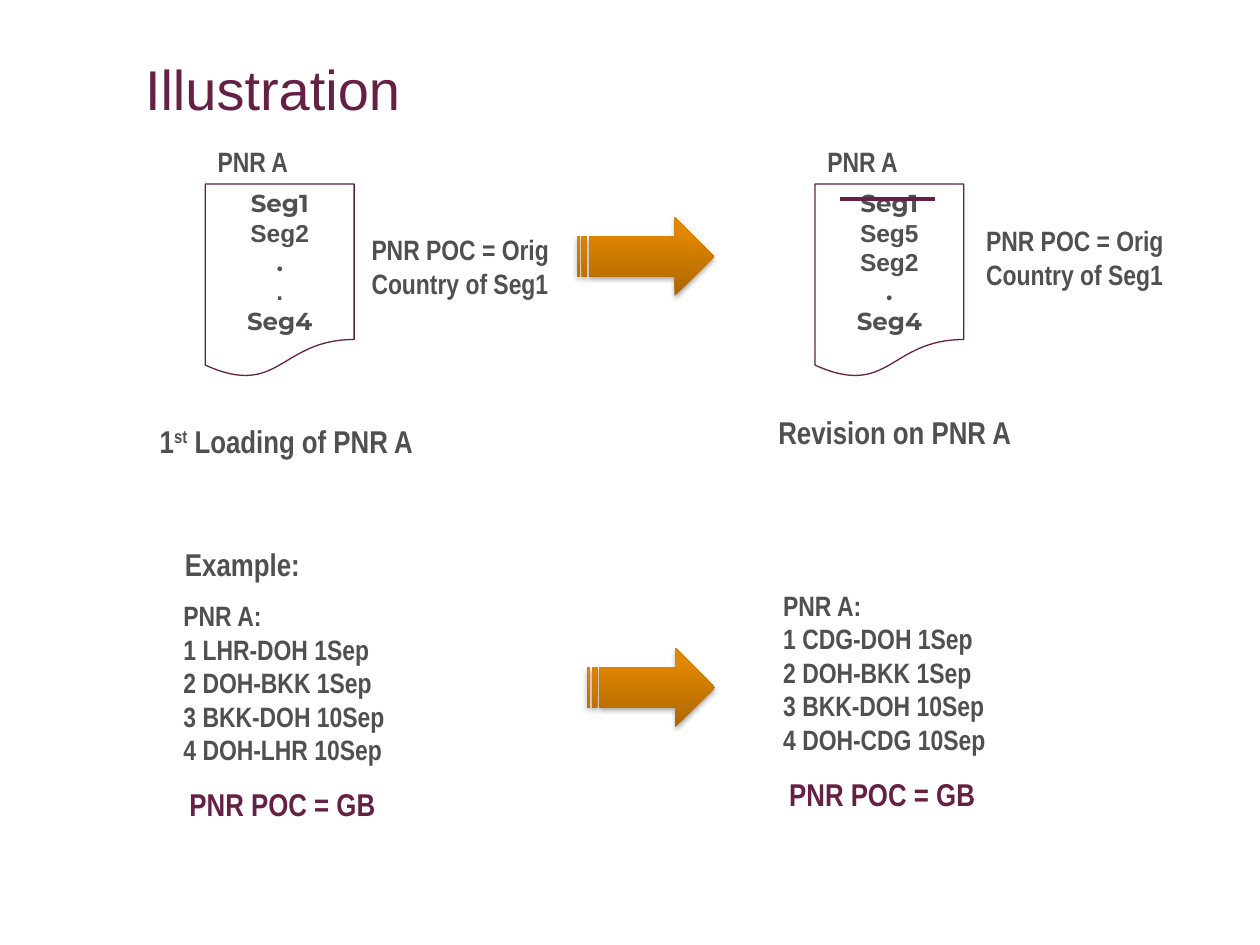
from lxml import etree
from pptx import Presentation
from pptx.dml.color import RGBColor
from pptx.enum.shapes import MSO_CONNECTOR, MSO_SHAPE
from pptx.enum.text import MSO_ANCHOR, MSO_AUTO_SIZE, PP_ALIGN
from pptx.oxml import parse_xml
from pptx.oxml.ns import nsdecls, qn
from pptx.util import Cm, Pt

PLUM, GREY = "662046", "4F5150"
NARROW = "Arial Narrow"


def rgb(value):
    return RGBColor.from_string(value)


class SlideBuilder:
    def __init__(self, prs):
        self.s = prs.slides.add_slide(prs.slide_layouts[5])

    def style(self, p, size, name, color=GREY, bold=True):
        f = p.font
        f.size, f.name, f.bold = Pt(size), name, bold
        f.color.rgb = rgb(color)

    def title(self, text, x, y, w, h):
        sp = self.s.shapes.title
        sp.left, sp.top, sp.width, sp.height = Cm(x), Cm(y), Cm(w), Cm(h)
        tf = sp.text_frame
        tf.text = text
        tf.auto_size = MSO_AUTO_SIZE.NONE
        tf.vertical_anchor = MSO_ANCHOR.MIDDLE
        p = tf.paragraphs[0]
        p.alignment = PP_ALIGN.LEFT
        self.style(p, 32, "Arial", PLUM, False)

    def text(self, lines, x, y, w, h, size=16, color=GREY):
        """Each line is a list of runs; a run starting with ^ is raised."""
        tf = self.s.shapes.add_textbox(Cm(x), Cm(y), Cm(w), Cm(h)).text_frame
        tf.word_wrap = True
        for i, runs in enumerate(lines):
            p = tf.add_paragraph() if i else tf.paragraphs[0]
            self.style(p, size, NARROW, color)
            for run in runs:
                r = p.add_run()
                r.text = run.lstrip("^")
                if run.startswith("^"):
                    r.font._element.set("baseline", "30000")

    def document(self, segments, x, y, w=3, h=3.91):
        sp = self.s.shapes.add_shape(MSO_SHAPE.FLOWCHART_DOCUMENT, Cm(x), Cm(y), Cm(w), Cm(h))
        sp.shadow.inherit = False
        sp.fill.background()
        sp.line.color.rgb = rgb(PLUM)
        sp.line.width = Pt(0.75)
        tf = sp.text_frame
        tf.vertical_anchor = MSO_ANCHOR.MIDDLE
        for i, (segment, font) in enumerate(segments):
            p = tf.add_paragraph() if i else tf.paragraphs[0]
            p.text = segment
            p.alignment = PP_ALIGN.CENTER
            self.style(p, 14, font)

    def line(self, x1, x2, y):
        c = self.s.shapes.add_connector(MSO_CONNECTOR.STRAIGHT, Cm(x1), Cm(y), Cm(x2), Cm(y))
        c.line.color.rgb = rgb(PLUM)
        c.line.width = Pt(2)
        etree.SubElement(c._element.spPr, qn("a:effectLst"))

    def arrow(self, x, y, w, h=1.6):
        sp = self.s.shapes.add_shape(MSO_SHAPE.STRIPED_RIGHT_ARROW, Cm(x), Cm(y), Cm(w), Cm(h))
        sp.line.fill.background()
        stops = "".join(
            f'<a:gs pos="{pos}000"><a:srgbClr val="{color}"/></a:gs>'
            for pos, color in ((0, "AC6700"), (80, "E08600"), (100, "E18600")))
        spPr = sp._element.spPr
        spPr.find(qn("a:prstGeom")).addnext(parse_xml(
            f'<a:gradFill {nsdecls("a")} rotWithShape="1"><a:gsLst>{stops}</a:gsLst>'
            '<a:lin ang="16200000" scaled="0"/></a:gradFill>'))
        spPr.append(parse_xml(
            f'<a:effectLst {nsdecls("a")}><a:outerShdw blurRad="{Pt(3.1)}" dist="{Pt(1.8)}" '
            'dir="5400000" rotWithShape="0"><a:srgbClr val="000000"><a:alpha val="35000"/>'
            '</a:srgbClr></a:outerShdw></a:effectLst>'))


def main():
    prs = Presentation()
    prs.slide_width, prs.slide_height = Cm(25.4), Cm(19.05)
    b = SlideBuilder(prs)
    b.title("Illustration", 2.67, 1.12, 21.59, 1.3)

    # Records before and after the revision
    before = [("Seg1", "Montserrat"), ("Seg2", "Arial"), (".", "Montserrat"),
              (".", "Arial"), ("Seg4", "Montserrat")]
    after = [("Seg1", "Montserrat"), ("Seg5", "Arial"), ("Seg2", "Arial"),
             (".", "Montserrat"), ("Seg4", "Montserrat")]
    for x, segments, note_x, note_y in ((4.14, before, 7.24, 4.57), (16.43, after, 19.63, 4.39)):
        b.document(segments, x, 3.71)
        b.text([["PNR A"]], x, 2.79, 2.79, 0.94)
        b.text([["PNR POC = Orig Country of Seg1"]], note_x, note_y, 5.31, 1.63)
    b.line(16.94, 18.85, 4.01)

    # Captions
    b.text([["1", "^st", " Loading of PNR A"]], 2.97, 8.38, 7.49, 1.02, 18)
    b.text([["Revision on PNR A"]], 15.44, 8.2, 8.1, 1.02, 18)

    # Worked example
    b.text([["Example:"]], 3.48, 10.87, 7.01, 1.02, 18)
    for x, y, w, city in ((3.45, 11.94, 7.01, "LHR"), (15.54, 11.73, 6.3, "CDG")):
        lines = ["PNR A:", f"1 {city}-DOH 1Sep", "2 DOH-BKK 1Sep",
                 "3 BKK-DOH 10Sep", f"4 DOH-{city} 10Sep"]
        b.text([[line] for line in lines], x, y, w, 3.68)
        b.text([["PNR POC = GB"]], x + 0.12, y + 3.76, 5.31, 1.02, 18, PLUM)

    # Arrows from first loading to revision
    b.arrow(11.63, 4.37, 2.77)
    b.arrow(11.84, 13.06, 2.57)

    prs.save("out.pptx")


if __name__ == "__main__":
    main()
